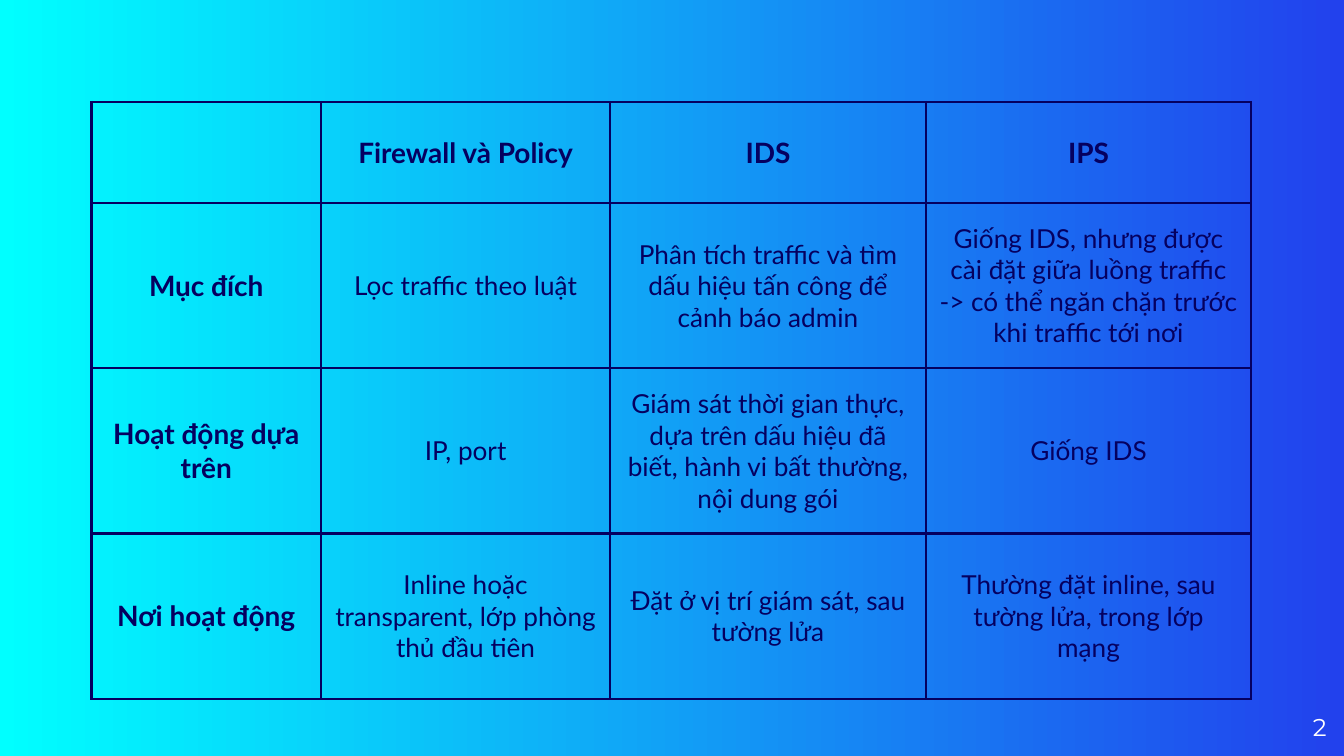
from lxml.etree import SubElement
from pptx import Presentation
from pptx.dml.color import RGBColor
from pptx.enum.text import MSO_ANCHOR, PP_ALIGN
from pptx.oxml.ns import qn
from pptx.util import Inches, Pt

ROWS = [
    ("", "Firewall và Policy", "IDS", "IPS"),
    ("Mục đích", "Lọc traffic theo luật",
     "Phân tích traffic và tìm dấu hiệu tấn công để cảnh báo admin",
     "Giống IDS, nhưng được cài đặt giữa luồng traffic -> có thể ngăn chặn trước khi traffic tới nơi"),
    ("Hoạt động dựa trên", "IP, port",
     "Giám sát thời gian thực, dựa trên dấu hiệu đã biết, hành vi bất thường, nội dung gói",
     "Giống IDS"),
    ("Nơi hoạt động", "Inline hoặc transparent, lớp phòng thủ đầu tiên",
     "Đặt ở vị trí giám sát, sau tường lửa",
     "Thường đặt inline, sau tường lửa, trong lớp mạng"),
]
PAGE = "2"
COL_W = (1.71, 2.15, 2.35, 2.42)
ROW_H = (0.75, 1.23, 1.23, 1.23)
THEME = {
    "ink": "050060", "page": "FFFFFF", "gradient": ("2241ED", "00FFFF"),
    "font": "Lato", "page_font": "Montserrat",
    "head_size": 15, "body_size": 14, "page_size": 13, "border": 1.5,
}


def style(p, font, size, color, align, bold=False):
    p.alignment = align
    for r in p.runs:
        r.font.name = font
        r.font.size = Pt(size)
        r.font.bold = bold
        r.font.color.rgb = RGBColor.from_string(color)


def add_borders(cell):
    tc_pr = cell._tc.get_or_add_tcPr()
    for side in ("lnL", "lnR", "lnT", "lnB"):
        ln = SubElement(tc_pr, qn(f"a:{side}"), w=str(Pt(THEME["border"])))
        fill = SubElement(ln, qn("a:solidFill"))
        SubElement(fill, qn("a:srgbClr"), val=THEME["ink"])


def add_comparison(s):
    frame = s.shapes.add_table(len(ROWS), len(COL_W), Inches(0.68), Inches(0.76),
                               Inches(sum(COL_W)), Inches(sum(ROW_H)))
    table = frame.table
    table.first_row = table.horz_banding = False
    for col, w in zip(table.columns, COL_W):
        col.width = Inches(w)
    for row, h in zip(table.rows, ROW_H):
        row.height = Inches(h)
    for i, texts in enumerate(ROWS):
        for j, text in enumerate(texts):
            cell = table.cell(i, j)
            cell.text_frame.text = text
            cell.vertical_anchor = MSO_ANCHOR.MIDDLE
            cell.margin_left = cell.margin_right = Inches(0.1)
            cell.margin_top = cell.margin_bottom = Inches(0.07)
            add_borders(cell)
            cell.fill.background()
            head = i == 0 or j == 0
            size = THEME["head_size" if head else "body_size"]
            style(cell.text_frame.paragraphs[0], THEME["font"], size,
                  THEME["ink"], PP_ALIGN.CENTER, head)


def add_page_number(s):
    tf = s.shapes.add_textbox(Inches(9.27), Inches(5.19), Inches(0.6), Inches(0.43)).text_frame
    tf.text = PAGE
    tf.word_wrap = True
    tf.vertical_anchor = MSO_ANCHOR.MIDDLE
    tf.margin_left = tf.margin_right = tf.margin_top = tf.margin_bottom = 0
    style(tf.paragraphs[0], THEME["page_font"], THEME["page_size"], THEME["page"], PP_ALIGN.RIGHT)


def main():
    """Build the slide comparing firewall, IDS and IPS."""
    prs = Presentation()
    prs.slide_width, prs.slide_height = Inches(10), Inches(10 * 9 / 16)
    s = prs.slides.add_slide(prs.slide_layouts[6])
    fill = s.background.fill
    fill.gradient()
    fill.gradient_angle = 180
    for stop, color in zip(fill.gradient_stops, THEME["gradient"]):
        stop.color.rgb = RGBColor.from_string(color)
    add_comparison(s)
    add_page_number(s)
    prs.save("out.pptx")


if __name__ == "__main__":
    main()
